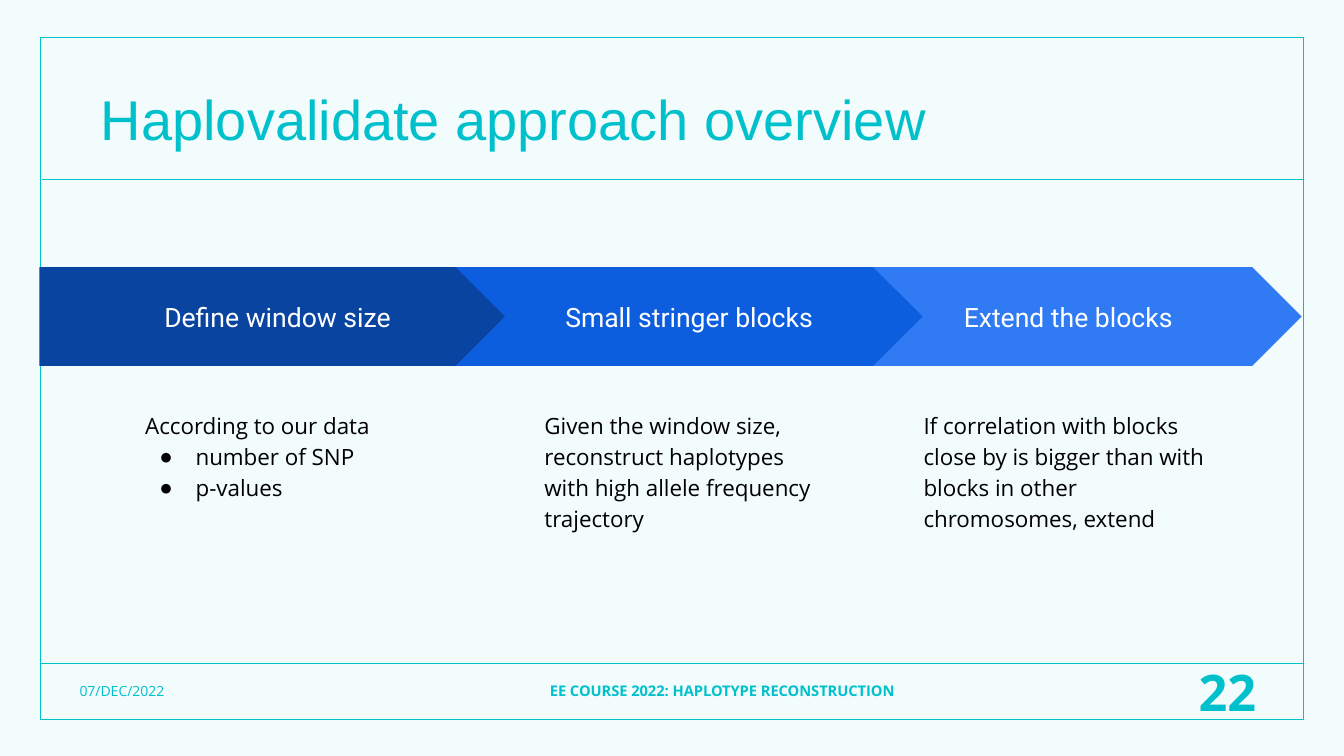
import pptx
import pptx.util
import pptx.dml.color
import pptx.enum.shapes
import pptx.enum.text
import pptx.oxml
import pptx.oxml.ns
from lxml import etree

Inches, Pt = pptx.util.Inches, pptx.util.Pt
SHAPE = pptx.enum.shapes.MSO_SHAPE
ALIGN = pptx.enum.text.PP_ALIGN
ANCHOR = pptx.enum.text.MSO_ANCHOR

COLORS = {"background": "F2FCFC", "accent": "00C1CB", "text": "000000",
          "white": "FFFFFF", "dark": "0944A1", "mid": "0D5DDF", "light": "307BF3"}

# Left edge, width, preset, colour, heading and text left of each step, back to front
STEPS = [
    (8.28, 4.63, SHAPE.CHEVRON, "light", "Extend the blocks", 9.03,
     ["If correlation with blocks close by is bigger than with "
      "blocks in other chromosomes, extend"]),
    (0.39, 4.97, SHAPE.PENTAGON, "dark", "Define window size", 1.31,
     ["According to our data", "number of SNP", "p-values"]),
    (4.52, 4.63, SHAPE.CHEVRON, "mid", "Small stringer blocks", 5.27,
     ["Given the window size, reconstruct haplotypes with high "
      "allele frequency trajectory"]),
]


def rgb(name):
    return pptx.dml.color.RGBColor.from_string(COLORS[name])


def apply(target, values):
    for name, value in values.items():
        setattr(target, name, value)


def place(shape, left, top, width, height):
    apply(shape, {"left": Inches(left), "top": Inches(top),
                  "width": Inches(width), "height": Inches(height)})


def write(shape, lines, size, font, color, bold=False, align=ALIGN.LEFT,
          anchor=ANCHOR.MIDDLE, spacing=1.0, inset=(0.1, 0.05)):
    tf = shape.text_frame
    side, end = Inches(inset[0]), Inches(inset[1])
    apply(tf, {"word_wrap": True, "auto_size": pptx.enum.text.MSO_AUTO_SIZE.NONE,
               "vertical_anchor": anchor, "margin_left": side, "margin_right": side,
               "margin_top": end, "margin_bottom": end})
    for i, line in enumerate(lines):
        p = tf.add_paragraph() if i else tf.paragraphs[0]
        apply(p, {"alignment": align, "line_spacing": spacing,
                  "space_before": Pt(0), "space_after": Pt(0)})
        r = p.add_run()
        r.text = line
        apply(r.font, {"size": Pt(size), "name": font, "bold": bold})
        r.font.color.rgb = rgb(color)


def add_text(s, box, text, size, **formats):
    tb = s.shapes.add_textbox(*map(Inches, box))
    write(tb, [text], size, "Open Sans", "accent", **formats)


def add_rule(s, left, y, right):
    line = s.shapes.add_connector(pptx.enum.shapes.MSO_CONNECTOR.STRAIGHT,
                                  Inches(left), Inches(y), Inches(right), Inches(y))
    line.line.color.rgb = rgb("accent")
    line.line.width = Pt(1)
    etree.SubElement(line._element.spPr, pptx.oxml.ns.qn("a:effectLst"))


def add_frame(s):
    frame = s.shapes.add_shape(SHAPE.RECTANGLE, *map(Inches, (0.4, 0.37, 12.53, 6.77)))
    frame.shadow.inherit = False
    frame.fill.background()
    frame.line.color.rgb = rgb("accent")
    frame.line.width = Pt(1)


def add_arrow(s, left, width, preset, color, heading):
    arrow = s.shapes.add_shape(preset, *map(Inches, (left, 2.65, width, 0.98)))
    arrow.adjustments[0] = 0.5
    arrow.shadow.inherit = False
    arrow.fill.solid()
    arrow.fill.fore_color.rgb = rgb(color)
    arrow.line.fill.background()
    write(arrow, [heading], 19, "Roboto", "white", align=ALIGN.CENTER, inset=(0.13, 0.13))


def set_bullet(p, char=None):
    pPr = p._p.get_or_add_pPr()
    pPr.set("marL", str(Inches(0.5 if char else 0)))
    pPr.set("indent", str(Inches(-0.36 if char else 0)))
    if char:
        clr = etree.SubElement(pPr, pptx.oxml.ns.qn("a:buClr"))
        etree.SubElement(clr, pptx.oxml.ns.qn("a:srgbClr"), val=COLORS["text"])
        etree.SubElement(pPr, pptx.oxml.ns.qn("a:buChar"), char=char)
    else:
        etree.SubElement(pPr, pptx.oxml.ns.qn("a:buNone"))


def add_details(s, left, lines):
    # The column with a list takes the body placeholder
    if len(lines) > 1:
        body = s.placeholders[1]
    else:
        body = s.shapes.add_textbox(0, 0, 0, 0)
    place(body, left, 3.92, 3.13, 2.05)
    write(body, lines, 16, "Open Sans", "text", anchor=ANCHOR.TOP,
          spacing=1.15, inset=(0.13, 0.13))
    for i, p in enumerate(body.text_frame.paragraphs):
        set_bullet(p, "●" if i else None)


def main():
    prs = pptx.Presentation()
    prs.slide_width, prs.slide_height = Inches(13.33), Inches(7.5)
    s = prs.slides.add_slide(prs.slide_layouts[1])
    s.background.fill.solid()
    s.background.fill.fore_color.rgb = rgb("background")

    # Frame and rules
    add_frame(s)
    add_rule(s, 0.4, 6.58, 12.93)
    add_rule(s, 0.42, 1.78, 12.93)

    # Title
    place(s.shapes.title, 0.9, 0.62, 11.52, 1.18)
    write(s.shapes.title, ["Haplovalidate approach overview"], 40, "Arial", "accent",
          spacing=0.9)

    # Footer
    add_text(s, (0.69, 6.66, 2.81, 0.39), "07/DEC/2022", 10)
    add_text(s, (4.5, 6.66, 5.33, 0.39), "EE COURSE 2022: HAPLOTYPE RECONSTRUCTION",
             10.5, bold=True, align=ALIGN.CENTER)
    add_text(s, (11.71, 6.66, 0.93, 0.4), "22", 36, bold=True, align=ALIGN.CENTER)

    # Process steps
    for left, width, preset, color, heading, text_left, lines in STEPS:
        add_arrow(s, left, width, preset, color, heading)
        add_details(s, text_left, lines)

    prs.save("out.pptx")


if __name__ == "__main__":
    main()
